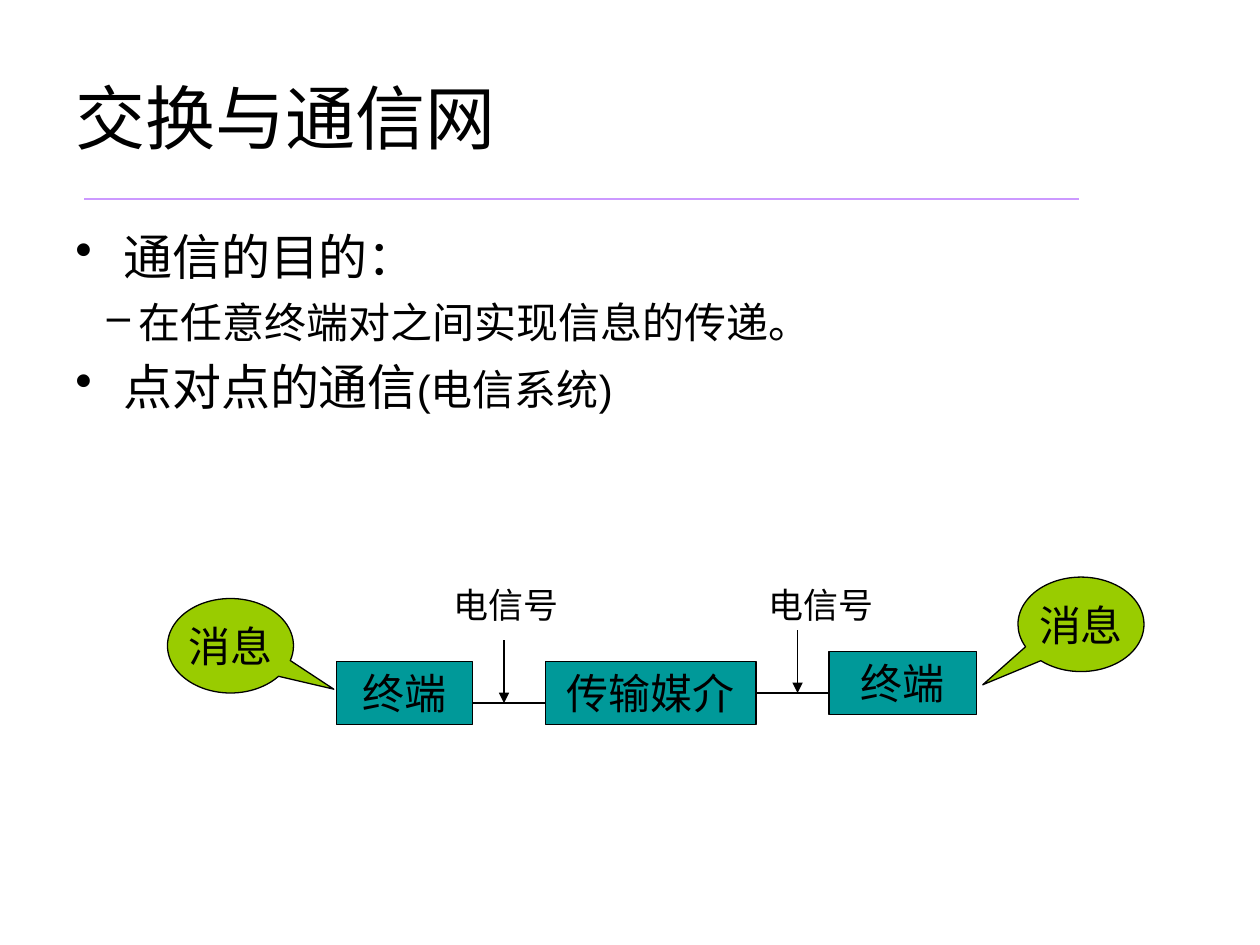
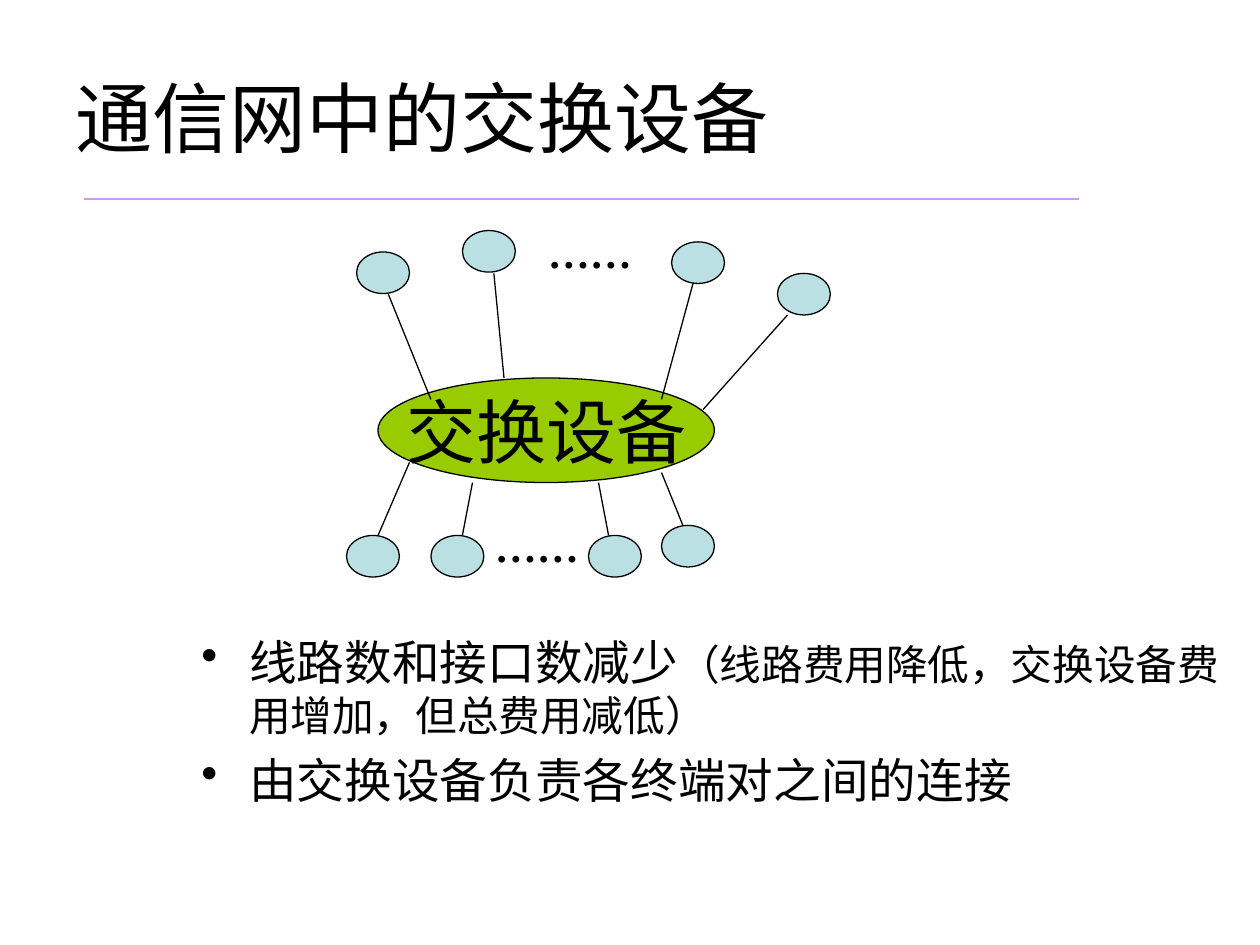
import pptx
import pptx.dml.color
import pptx.enum.shapes
import pptx.enum.text
import pptx.oxml
import pptx.oxml.ns
import pptx.util

Inches = pptx.util.Inches
Pt = pptx.util.Pt
Color = pptx.dml.color.RGBColor
Shape = pptx.enum.shapes.MSO_SHAPE
Align = pptx.enum.text.PP_ALIGN
Anchor = pptx.enum.text.MSO_ANCHOR

BLACK = Color(0x00, 0x00, 0x00)
TEAL = Color(0x00, 0x99, 0x99)
LIME = Color(0x99, 0xCC, 0x00)
PALE = Color(0xBB, 0xE0, 0xE3)
LILAC = Color(0xCC, 0x99, 0xFF)

SANS = "Arial"
SERIF = "Times New Roman"
NODE_W, NODE_H = 0.42, 0.33


def add_xml(parent, tag, **attrs):
    item = pptx.oxml.parse_xml(f"<a:{tag} {pptx.oxml.ns.nsdecls('a')}/>")
    for key, value in attrs.items():
        item.set(key, value)
    parent.append(item)


def write(para, text, size, font=SERIF, bold=False, align=Align.LEFT):
    para.alignment = align
    run = para.add_run()
    run.text = text
    run.font.size = Pt(size)
    run.font.name = font
    run.font.bold = bold
    run.font.color.rgb = BLACK


def add_box(slide, left, top, width, height):
    box = slide.shapes.add_textbox(
        Inches(left), Inches(top), Inches(width), Inches(height))
    box.text_frame.word_wrap = True
    return box.text_frame


def add_label(slide, left, top, width, text, **style):
    frame = add_box(slide, left, top, width, 0.5)
    write(frame.paragraphs[0], text, **style)


def add_list(slide, left, top, width, height, items):
    """Each item: bullet, left margin, hang, space before, (text, size) runs."""
    frame = add_box(slide, left, top, width, height)
    for i, (mark, margin, hang, before, runs) in enumerate(items):
        para = frame.add_paragraph() if i else frame.paragraphs[0]
        para.space_before = Pt(before if i else 0)
        props = para._p.get_or_add_pPr()
        props.set("marL", str(Inches(margin)))
        props.set("indent", str(Inches(-hang)))
        add_xml(props, "buChar", char=mark)
        for text, size in runs:
            write(para, text, size, font=SANS)


def add_form(slide, kind, left, top, width, height, fill, text="", size=24):
    form = slide.shapes.add_shape(
        kind, Inches(left), Inches(top), Inches(width), Inches(height))
    form.shadow.inherit = False
    form.fill.solid()
    form.fill.fore_color.rgb = fill
    form.line.color.rgb = BLACK
    form.line.width = Pt(0.75)
    if text:
        frame = form.text_frame
        frame.word_wrap = False
        frame.vertical_anchor = Anchor.MIDDLE
        frame.margin_left = frame.margin_right = 0
        frame.margin_top = frame.margin_bottom = 0
        write(frame.paragraphs[0], text, size, align=Align.CENTER)
    return form


def add_bubble(slide, left, top, tip):
    bubble = add_form(slide, Shape.OVAL_CALLOUT, left, top, 1, 0.75, LIME, "消息")
    bubble.adjustments[0], bubble.adjustments[1] = tip


def add_line(slide, x1, y1, x2, y2, color=BLACK, width=0.75, arrow=False):
    line = slide.shapes.add_connector(
        pptx.enum.shapes.MSO_CONNECTOR.STRAIGHT,
        Inches(x1), Inches(y1), Inches(x2), Inches(y2))
    line.line.color.rgb = color
    line.line.width = Pt(width)
    if arrow:
        add_xml(line.line._get_or_add_ln(), "tailEnd", type="triangle")
    add_xml(line._element.spPr, "effectLst")
    return line


def add_page(deck, text, size):
    """Start a slide with its title and the rule below it."""
    slide = deck.slides.add_slide(deck.slide_layouts[5])
    add_line(slide, 0.67, 1.58, 8.56, 1.58, LILAC, 1)
    title = slide.shapes.title
    title.left, title.top = Inches(0.5), Inches(0.3)
    title.width, title.height = Inches(9), Inches(1.25)
    frame = title.text_frame
    frame.auto_size = pptx.enum.text.MSO_AUTO_SIZE.NONE
    frame.vertical_anchor = Anchor.MIDDLE
    write(frame.paragraphs[0], text, size, font=SANS)
    return slide


def draw_link(deck):
    slide = add_page(deck, "交换与通信网", 40)
    add_list(slide, 0.5, 1.75, 9, 4.95, [
        ("•", 0.38, 0.38, 0, [("通信的目的：", 28)]),
        ("–", 0.5, 0.25, 6, [("在任意终端对之间实现信息的传递。", 24)]),
        ("•", 0.38, 0.38, 6, [("点对点的通信", 28), ("(电信系统)", 24)]),
    ])
    add_form(slide, Shape.RECTANGLE, 2.67, 5.25, 1.08, 0.5, TEAL, "终端")
    medium = add_form(slide, Shape.RECTANGLE, 4.33, 5.25, 1.67, 0.5, TEAL, "传输媒介")
    add_form(slide, Shape.RECTANGLE, 6.58, 5.17, 1.17, 0.5, TEAL, "终端")
    add_bubble(slide, 1.33, 4.75, (0.82, 0.46))
    add_bubble(slide, 8.08, 4.58, (-0.78, 0.64))

    add_line(slide, 3.75, 5.58, 4.33, 5.58)
    add_line(slide, 6, 5.5, 6.58, 5.5).begin_connect(medium, 3)
    for left, x, y in ((3.5, 4, 5.08), (6, 6.33, 5)):
        add_label(slide, left, 4.58, 1.4, "电信号", size=20)
        add_line(slide, x, y, x, y + 0.5, arrow=True)


def draw_hub(deck):
    slide = add_page(deck, "通信网中的交换设备", 44)
    add_list(slide, 1.5, 4.97, 8.5, 1.7, [
        ("•", 0.38, 0.38, 0, [
            ("线路数和接口数减少", 27.2),
            ("（线路费用降低，交换设备费用增加，但总费用减低）", 23.8)]),
        ("•", 0.38, 0.38, 6.5, [("由交换设备负责各终端对之间的连接", 27.2)]),
    ])
    add_form(slide, Shape.OVAL, 3, 3, 2.67, 0.83, LIME, "交换设备", 40)

    # Each node's corner, then its line's start and end
    spokes = [
        ((2.83, 2), (3.08, 2.33), (3.42, 3.17)),
        ((3.67, 1.83), (3.92, 2.17), (4, 3)),
        ((5.33, 1.92), (5.5, 2.25), (5.25, 3.17)),
        ((6.17, 2.17), (6.25, 2.5), (5.58, 3.25)),
        ((2.75, 4.25), (3.25, 3.67), (3, 4.25)),
        ((3.42, 4.25), (3.75, 3.83), (3.67, 4.25)),
        ((4.67, 4.25), (4.75, 3.83), (4.83, 4.25)),
        ((5.25, 4.17), (5.25, 3.75), (5.42, 4.17)),
    ]
    for node, start, end in spokes:
        add_form(slide, Shape.OVAL, *node, NODE_W, NODE_H, PALE)
        add_line(slide, *start, *end)
    for left, top in ((4.25, 1.75), (3.83, 4.08)):
        add_label(slide, left, top, 1.25, "……", size=24, bold=True)


def main():
    deck = pptx.Presentation()
    deck.slide_width, deck.slide_height = Inches(10), Inches(7.5)
    draw_link(deck)
    draw_hub(deck)
    deck.save("out.pptx")


if __name__ == "__main__":
    main()
